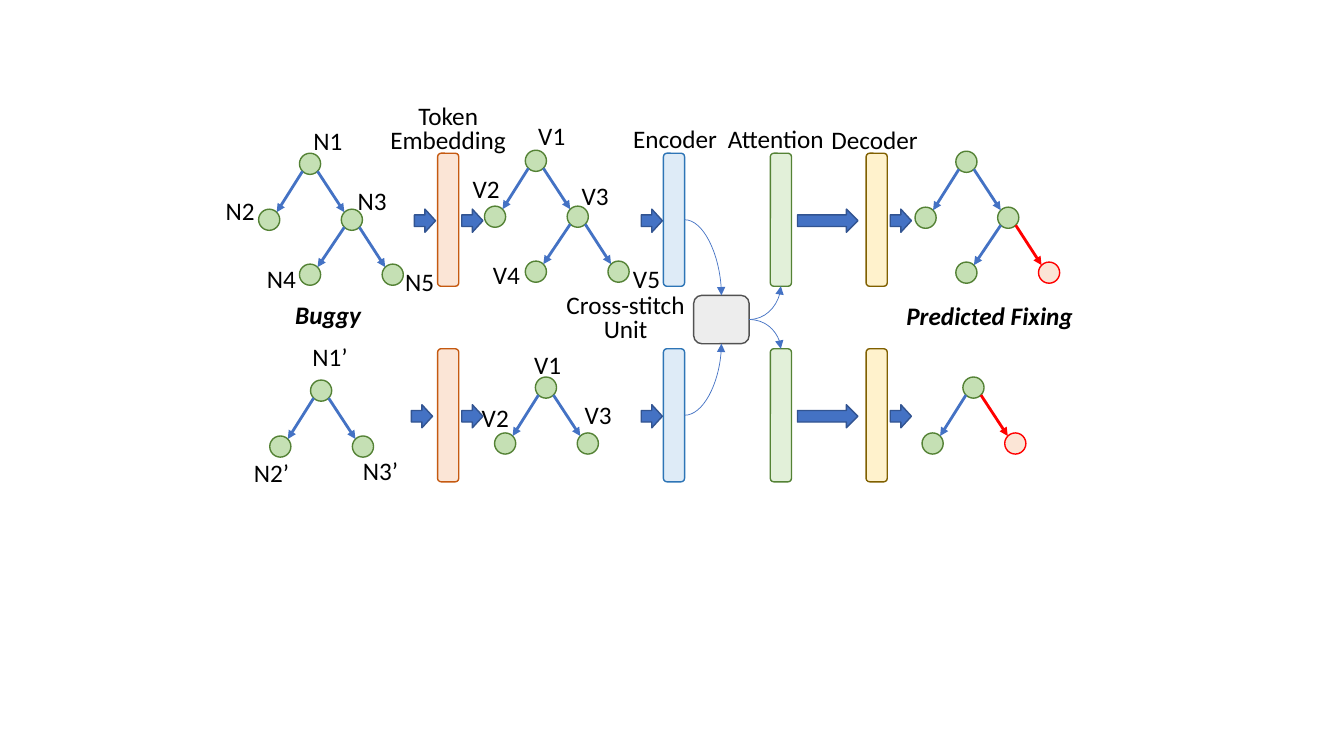
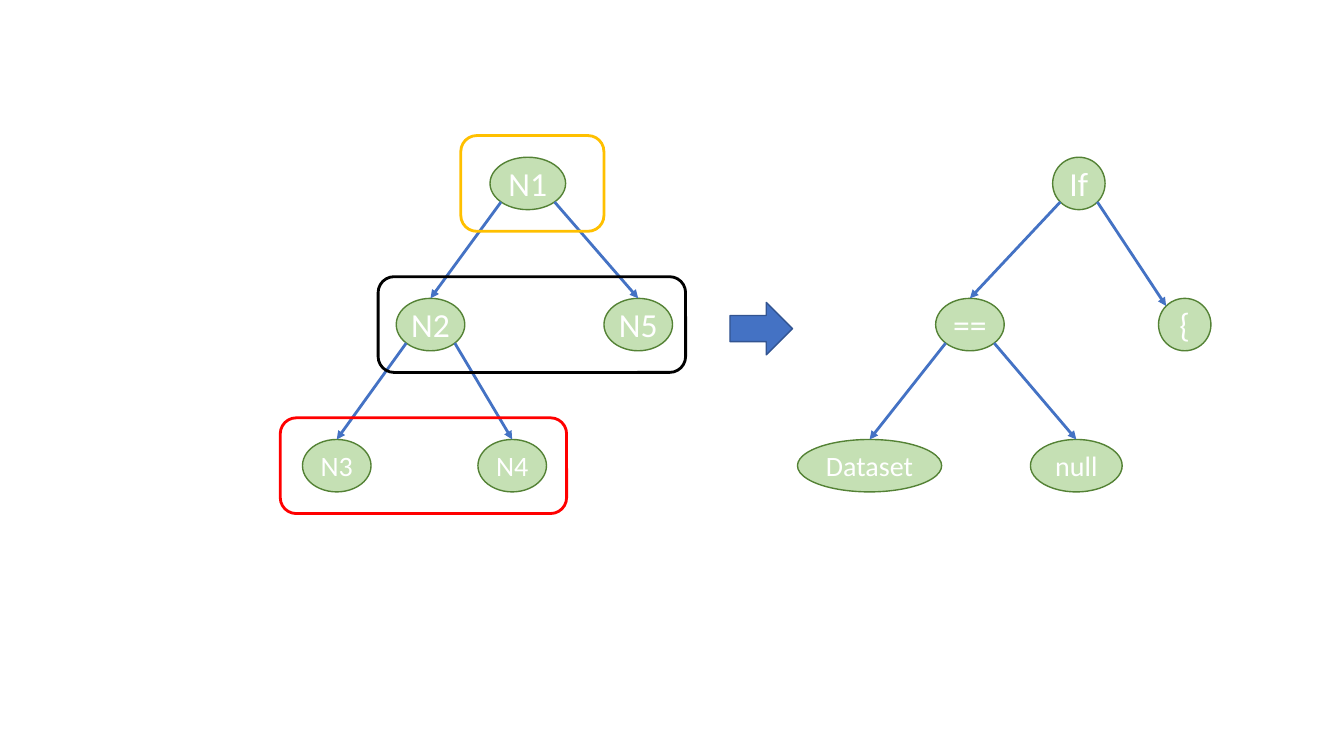
from collections import namedtuple

from lxml import etree
from pptx import Presentation
from pptx.dml.color import RGBColor
from pptx.enum.shapes import MSO_CONNECTOR, MSO_SHAPE
from pptx.enum.text import MSO_ANCHOR, PP_ALIGN
from pptx.oxml.ns import qn
from pptx.util import Inches, Pt

OVAL, ROUNDED, ARROW = MSO_SHAPE.OVAL, MSO_SHAPE.ROUNDED_RECTANGLE, MSO_SHAPE.RIGHT_ARROW
STRAIGHT, CURVE = MSO_CONNECTOR.STRAIGHT, MSO_CONNECTOR.CURVE
LEFT, CENTER, MIDDLE = PP_ALIGN.LEFT, PP_ALIGN.CENTER, MSO_ANCHOR.MIDDLE
SITE_TOP, SITE_BOTTOM, SITE_RIGHT = 0, 2, 3

BLACK = RGBColor(0x00, 0x00, 0x00)
WHITE = RGBColor(0xFF, 0xFF, 0xFF)
RED = RGBColor(0xFF, 0x00, 0x00)
AMBER = RGBColor(0xFF, 0xC0, 0x00)
BLUE = RGBColor(0x44, 0x72, 0xC4)
DARK_BLUE = RGBColor(0x32, 0x54, 0x91)
GREEN = RGBColor(0xC5, 0xE0, 0xB4)
DARK_GREEN = RGBColor(0x54, 0x82, 0x35)
PEACH = RGBColor(0xFB, 0xE5, 0xD6)
RUST = RGBColor(0xC5, 0x5A, 0x11)
PALE_BLUE = RGBColor(0xDE, 0xEB, 0xF7)
STEEL = RGBColor(0x2E, 0x75, 0xB6)
PALE_GREEN = RGBColor(0xE2, 0xF0, 0xD9)
CREAM = RGBColor(0xFF, 0xF2, 0xCC)
OLIVE = RGBColor(0x80, 0x60, 0x00)
PALE_GRAY = RGBColor(0xED, 0xED, 0xED)
DARK_GRAY = RGBColor(0x52, 0x52, 0x52)

FONT = "Calibri"
DIAGONAL = 0.354  # share of an oval's size from its centre to a 45 degree point

# Pipeline slide: lanes, stages and small trees
LANE_TOPS = (1.52, 3.46)
STAGE_W, STAGE_H = 0.21, 1.32
STAGES = {
    "embedding": (4.34, PEACH, RUST),
    "encoder": (6.58, PALE_BLUE, STEEL),
    "attention": (7.64, PALE_GREEN, DARK_GREEN),
    "decoder": (8.59, CREAM, OLIVE),
}
FLOW_ARROWS = ((4.58, 0.21), (6.36, 0.21), (7.91, 0.6), (8.83, 0.21))
FLOW_H = 0.23
LABEL_W = 1.83
DOT = 0.21
DOT_PLACES = ((0, 0), (-0.405, 0.555), (0.415, 0.555), (0, 1.1), (0.82, 1.1))
EDGES = ((0, 1), (0, 2), (2, 3), (2, 4))

# Syntax tree slide: three levels of ovals
LEVEL_TOP, LEVEL_PITCH, OVAL_H = 1.56, 1.4, 0.52
FRAME_H, FRAME_RISE = 0.95, 0.215

Node = namedtuple("Node", "left top width height text size fill line")


def add_box(shapes, kind, left, top, width, height, fill, line, weight=1):
    """Add a preset shape without shadow; a fill of None leaves it open."""
    box = shapes.add_shape(kind, Inches(left), Inches(top), Inches(width), Inches(height))
    box.shadow.inherit = False
    if fill is None:
        box.fill.background()
    else:
        box.fill.solid()
        box.fill.fore_color.rgb = fill
    box.line.color.rgb = line
    box.line.width = Pt(weight)
    return box


def write(frame, text, size, color, align, spacing=None, strong=False):
    """Fill a text frame, one paragraph per line, and format it."""
    frame.word_wrap = True
    frame.text = text
    for paragraph in frame.paragraphs:
        paragraph.alignment = align
        if spacing:
            paragraph.line_spacing = spacing
        for run in paragraph.runs:
            run.font.name, run.font.size = FONT, Pt(size)
            run.font.color.rgb = color
            if strong:
                run.font.bold = run.font.italic = True


def add_label(shapes, text, left, top, width=LABEL_W, height=0.4, align=LEFT, **style):
    """Add a free-standing 18 point label."""
    box = shapes.add_textbox(Inches(left), Inches(top), Inches(width), Inches(height))
    write(box.text_frame, text, 18, BLACK, align, **style)


def finish_arrow(connector, color, weight):
    """Colour a connector, give it an arrowhead and drop its shadow."""
    connector.line.color.rgb = color
    connector.line.width = Pt(weight)
    properties = connector._element.spPr
    etree.SubElement(properties.find(qn("a:ln")), qn("a:tailEnd"), type="triangle")
    etree.SubElement(properties, qn("a:effectLst"))


def add_edge(shapes, parent, child):
    """Link two nodes: circles are met on the diagonal, ovals at the top."""
    parent_x, child_x = (node.left + node.width / 2 for node in (parent, child))
    side = 1 if child_x > parent_x else -1
    start_x = parent_x + side * DIAGONAL * parent.width
    start_y = parent.top + (0.5 + DIAGONAL) * parent.height
    end_x, end_y = child_x, child.top
    if child.width == child.height:
        end_x -= side * DIAGONAL * child.width
        end_y += (0.5 - DIAGONAL) * child.height
    edge = shapes.add_connector(STRAIGHT, *map(Inches, (start_x, start_y, end_x, end_y)))
    finish_arrow(edge, RED if child.line == RED else BLUE, 2)


def add_tree(slide, nodes, edges):
    """Draw nodes and edges as one group and return the group's shapes."""
    shapes = slide.shapes.add_group_shape().shapes
    for node in nodes:
        oval = add_box(shapes, OVAL, node.left, node.top, node.width, node.height,
                       node.fill, node.line)
        if node.text:
            frame = oval.text_frame
            frame.margin_left = frame.margin_right = Inches(0.02)
            frame.margin_top = frame.margin_bottom = Inches(0.02)
            frame.vertical_anchor = MIDDLE
            write(frame, node.text, node.size, WHITE, CENTER)
    for parent, child in edges:
        add_edge(shapes, nodes[parent], nodes[child])
    return shapes


def add_dot_tree(slide, left, top, count, labels=(), fixed=False):
    """Draw a small tree from its root's corner; fixed marks the last node red."""
    nodes = []
    for index, (dx, dy) in enumerate(DOT_PLACES[:count]):
        marked = fixed and index == count - 1
        nodes.append(Node(left + dx, top + dy, DOT, DOT, "", 0,
                          PEACH if marked else GREEN, RED if marked else DARK_GREEN))
    shapes = add_tree(slide, nodes, EDGES[:count - 1])
    for text, dx, dy in labels:
        add_label(shapes, text, left + dx, top + dy)


def add_lane(slide, top, input_left):
    """Draw one lane of stages and flow arrows; return the stages by name."""
    stages = {name: add_box(slide.shapes, ROUNDED, left, top, STAGE_W, STAGE_H, fill, line)
              for name, (left, fill, line) in STAGES.items()}
    flow_top = top + (STAGE_H - FLOW_H) / 2 + 0.01
    for left, width in ((input_left, 0.21),) + FLOW_ARROWS:
        add_box(slide.shapes, ARROW, left, flow_top, width, FLOW_H, BLUE, DARK_BLUE)
    return stages


def add_curve(slide, source, source_site, target, target_site):
    """Glue a thin quarter-turn arrow between two stages."""
    curve = slide.shapes.add_connector(CURVE, 0, 0, 0, 0)
    curve.begin_connect(source, source_site)
    curve.end_connect(target, target_site)
    curve._element.spPr.find(qn("a:prstGeom")).set("prst", "curvedConnector2")
    finish_arrow(curve, BLUE, 0.5)


def build_pipeline(slide):
    """Two lanes from buggy trees to predicted fixes, joined by a cross-stitch unit."""
    for text, left, top, height in (("Token Embedding", 3.53, 1, 0.59),
                                    ("Encoder", 5.78, 1.23, 0.35),
                                    ("Attention", 6.78, 1.23, 0.35),
                                    ("Decoder", 7.76, 1.24, 0.35),
                                    ("Cross-stitch\nUnit", 5.29, 2.88, 0.59)):
        add_label(slide.shapes, text, left, top, height=height, align=CENTER, spacing=0.8)
    for text, left, top, width in (("Buggy", 2.34, 2.98, LABEL_W),
                                   ("Predicted Fixing", 8.74, 2.99, 2.15)):
        add_label(slide.shapes, text, left, top, width, 0.35, CENTER, spacing=0.8, strong=True)

    add_dot_tree(slide, 2.97, 1.52, 5, (("N1", 0.04, -0.33), ("N2", -0.83, 0.37),
                                        ("N3", 0.48, 0.27), ("N4", -0.42, 1.04),
                                        ("N5", 0.95, 1.07)))
    add_dot_tree(slide, 5.21, 1.49, 5, (("V1", 0.03, -0.35), ("V2", -0.62, 0.18),
                                        ("V3", 0.46, 0.25), ("V4", -0.42, 1.03),
                                        ("V5", 0.97, 1.07)))
    add_dot_tree(slide, 3.08, 3.77, 3, (("N1’", -0.08, -0.43), ("N2’", -0.66, 0.72),
                                        ("N3’", 0.42, 0.7)))
    add_dot_tree(slide, 5.31, 3.74, 3, (("V1", -0.11, -0.32), ("V2", -0.63, 0.2),
                                        ("V3", 0.39, 0.17)))
    add_dot_tree(slide, 9.48, 1.5, 5, fixed=True)
    add_dot_tree(slide, 9.55, 3.74, 3, fixed=True)

    upper, lower = (add_lane(slide, top, left) for top, left in zip(LANE_TOPS, (4.11, 4.08)))
    stitch = add_box(slide.shapes, ROUNDED, 6.88, 2.93, 0.55, 0.48, PALE_GRAY, DARK_GRAY)
    add_curve(slide, upper["encoder"], SITE_RIGHT, stitch, SITE_TOP)
    add_curve(slide, lower["encoder"], SITE_RIGHT, stitch, SITE_BOTTOM)
    add_curve(slide, stitch, SITE_RIGHT, lower["attention"], SITE_TOP)
    add_curve(slide, stitch, SITE_RIGHT, upper["attention"], SITE_BOTTOM)


def add_level_tree(slide, entries, edges):
    """Draw a tree whose entries give text, level, left and width."""
    nodes = [Node(left, LEVEL_TOP + level * LEVEL_PITCH, width, OVAL_H, text,
                  20 if level == 2 else 24, GREEN, DARK_GREEN)
             for text, level, left, width in entries]
    add_tree(slide, nodes, edges)


def build_levels(slide):
    """A tree framed level by level, and the syntax tree it stands for."""
    add_level_tree(slide, (("If", 0, 10.44, OVAL_H), ("==", 1, 9.28, 0.68),
                           ("{", 1, 11.49, OVAL_H), ("Dataset", 2, 7.91, 1.43),
                           ("null", 2, 10.22, 0.91)),
                   ((0, 1), (0, 2), (1, 3), (1, 4)))
    add_level_tree(slide, (("N1", 0, 4.86, 0.75), ("N2", 1, 3.93, 0.68),
                           ("N5", 1, 5.99, 0.68), ("N3", 2, 3, 0.68),
                           ("N4", 2, 4.74, 0.68)),
                   ((0, 1), (0, 2), (1, 3), (1, 4)))
    for level, left, width, color in ((2, 2.78, 2.84, RED), (1, 3.75, 3.05, BLACK),
                                      (0, 4.57, 1.42, AMBER)):
        top = LEVEL_TOP + level * LEVEL_PITCH - FRAME_RISE
        add_box(slide.shapes, ROUNDED, left, top, width, FRAME_H, None, color, 2)
    add_box(slide.shapes, ARROW, 7.24, 3, 0.62, 0.52, BLUE, DARK_BLUE)


deck = Presentation()
deck.slide_width, deck.slide_height = Inches(13.33), Inches(7.5)
for build in (build_pipeline, build_levels):
    build(deck.slides.add_slide(deck.slide_layouts[6]))
deck.save("out.pptx")
